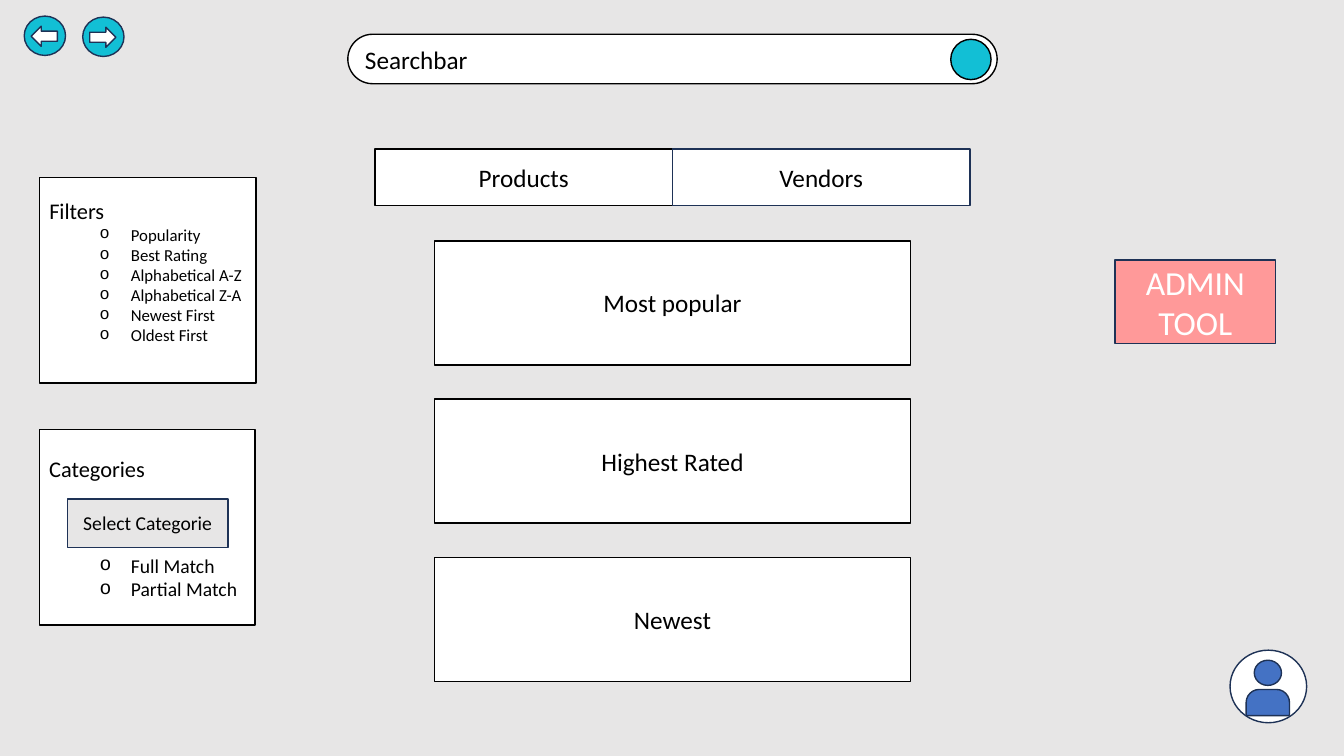
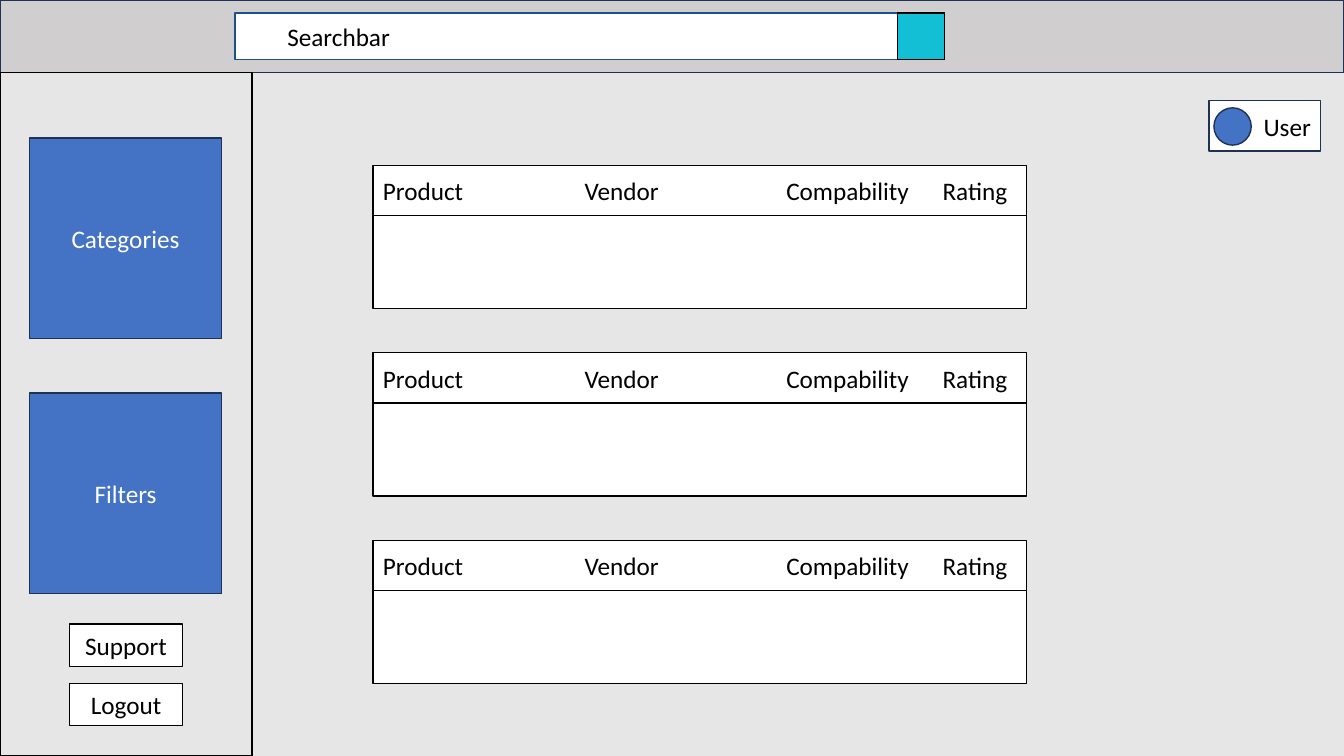
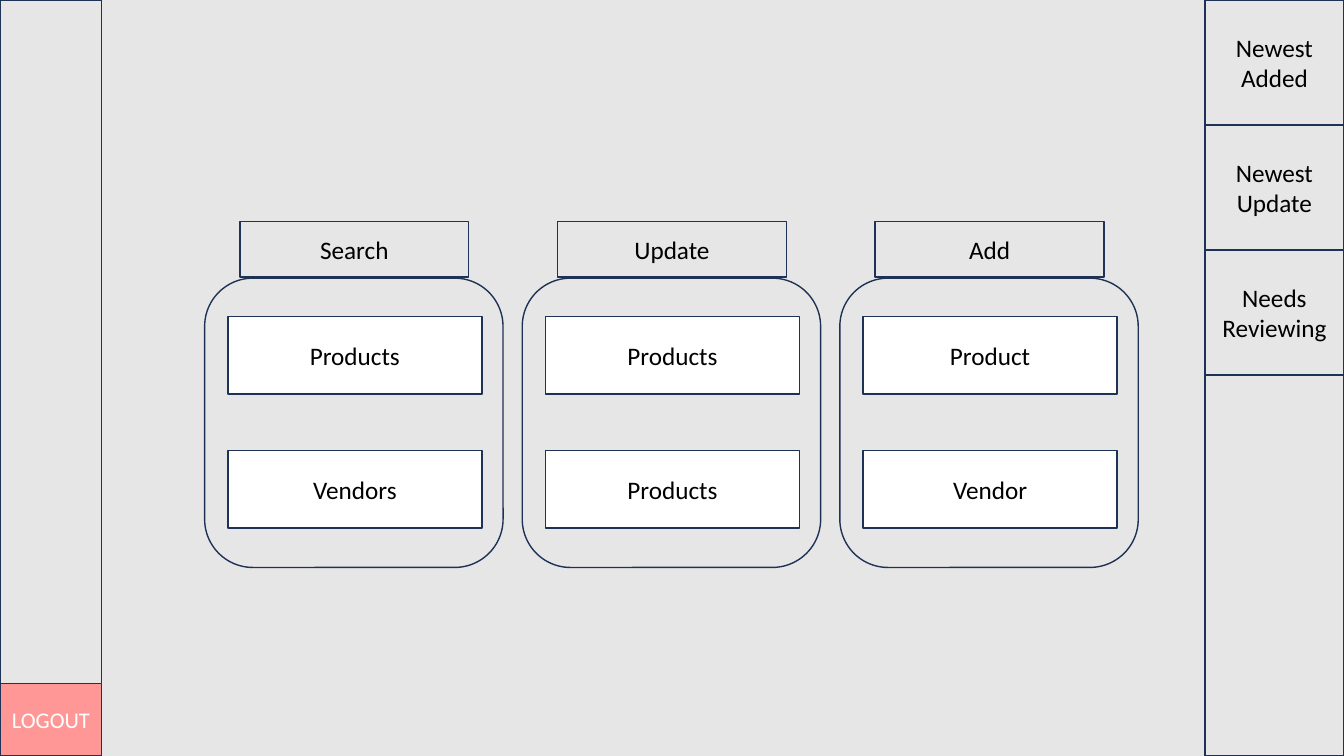
import pptx
import pptx.dml.color
import pptx.enum.shapes
import pptx.enum.text
import pptx.oxml.ns
import pptx.util
from lxml import etree

SHAPE = pptx.enum.shapes.MSO_SHAPE
ALIGN = pptx.enum.text.PP_ALIGN
ANCHOR = pptx.enum.text.MSO_ANCHOR
Inches = pptx.util.Inches
Pt = pptx.util.Pt

FONT = "Calibri"
BLACK = "000000"
WHITE = "FFFFFF"
NAVY = "1E3256"
BLUE = "4472C4"
CYAN = "12BFD5"
CANVAS = "E7E6E6"


def color(hex_value):
    return pptx.dml.color.RGBColor.from_string(hex_value)


def style_paragraph(paragraph, size, text_color, align=ALIGN.LEFT):
    paragraph.alignment = align
    for run in paragraph.runs:
        run.font.name = FONT
        run.font.size = Pt(size)
        run.font.color.rgb = color(text_color)


def draw(slide, box, fill=WHITE, line=NAVY, kind=SHAPE.RECTANGLE, text="",
         size=18, text_color=BLACK, align=ALIGN.CENTER, adjustments=()):
    shape = slide.shapes.add_shape(kind, *map(Inches, box))
    shape.shadow.inherit = False
    shape.fill.solid()
    shape.fill.fore_color.rgb = color(fill)
    shape.line.color.rgb = color(line)
    shape.line.width = Pt(1)
    for index, value in enumerate(adjustments):
        shape.adjustments[index] = value
    if text:
        frame = shape.text_frame
        frame.text = text
        frame.word_wrap = True
        frame.vertical_anchor = ANCHOR.MIDDLE
        for paragraph in frame.paragraphs:
            style_paragraph(paragraph, size, text_color, align)
    return shape


def add_bullet(paragraph):
    properties = paragraph._p.get_or_add_pPr()
    properties.set("marL", str(Inches(0.81)))
    properties.set("indent", str(Inches(-0.31)))
    font = etree.SubElement(properties, pptx.oxml.ns.qn("a:buFont"))
    font.set("typeface", "Courier New")
    bullet = etree.SubElement(properties, pptx.oxml.ns.qn("a:buChar"))
    bullet.set("char", "o")


def add_tab_stops(paragraph, positions):
    properties = paragraph._p.get_or_add_pPr()
    tabs = etree.SubElement(properties, pptx.oxml.ns.qn("a:tabLst"))
    for position in positions:
        tab = etree.SubElement(tabs, pptx.oxml.ns.qn("a:tab"))
        tab.set("pos", str(Inches(position)))
        tab.set("algn", "l")


def navigation_button(slide, left, top, arrow):
    draw(slide, (left, top, 0.41, 0.39), CYAN, kind=SHAPE.OVAL)
    draw(slide, (left + 0.07, top + 0.1, 0.26, 0.2), kind=arrow)


def rounded_search(slide, left, top, width, height):
    draw(slide, (left, top, width, height), line=BLACK,
         kind=SHAPE.ROUNDED_RECTANGLE, text="Searchbar",
         align=ALIGN.LEFT, adjustments=[0.5])
    draw(slide, (left + width - 0.46, top + 0.05, 0.4, 0.4), CYAN, BLACK, SHAPE.OVAL)


def option_panel(slide, box, title, options, size, top_inset, gap=0):
    panel = draw(slide, box, line=BLACK, text="\n".join([title, *options]),
                 size=size, align=ALIGN.LEFT)
    frame = panel.text_frame
    frame.vertical_anchor = ANCHOR.TOP
    frame.margin_top = Inches(top_inset)
    heading, *choices = frame.paragraphs
    style_paragraph(heading, 16, BLACK)
    choices[0].space_before = Pt(gap)
    for choice in choices:
        add_bullet(choice)


def user_icon(slide, left, top):
    draw(slide, (left, top, 0.76, 0.72), kind=SHAPE.OVAL)
    draw(slide, (left + 0.24, top + 0.1, 0.27, 0.25), BLUE, kind=SHAPE.OVAL)
    draw(slide, (left + 0.16, top + 0.39, 0.43, 0.26), BLUE,
         kind=SHAPE.ROUND_2_SAME_RECTANGLE, adjustments=[0.5, 0.04])


def start_slide(slide):
    navigation_button(slide, 0.24, 0.16, SHAPE.LEFT_ARROW)
    navigation_button(slide, 0.82, 0.17, SHAPE.RIGHT_ARROW)
    rounded_search(slide, 3.45, 0.34, 6.44, 0.49)
    for index, (label, line) in enumerate([("Products", BLACK), ("Vendors", NAVY)]):
        draw(slide, (3.72 + 2.95 * index, 1.48, 2.95, 0.56), line=line, text=label)
    for index, label in enumerate(["Most popular", "Highest Rated", "Newest"]):
        draw(slide, (4.31, 2.39 + 1.57 * index, 4.72, 1.23), line=BLACK, text=label)
    option_panel(slide, (0.39, 1.76, 2.15, 2.04), "Filters",
                 ["Popularity", "Best Rating", "Alphabetical A-Z",
                  "Alphabetical Z-A", "Newest First", "Oldest First"], 12, 0.2)
    option_panel(slide, (0.39, 4.26, 2.14, 1.94), "Categories",
                 ["Full Match", "Partial Match"], 14, 0.26, 51)
    draw(slide, (0.67, 4.95, 1.59, 0.48), CANVAS, text="Select Categorie", size=14)
    draw(slide, (11.06, 2.58, 1.59, 0.83), "FF9999", text="ADMIN TOOL",
         size=24, text_color=WHITE)
    user_icon(slide, 12.2, 6.45)


def search_header(slide, left, top, width, height):
    draw(slide, (left, top, width, height), "D0CECE")
    field = draw(slide, (left + 2.33, top + 0.13, 7.04, 0.46), line="1C5091",
                 text="Searchbar", align=ALIGN.LEFT)
    field.text_frame.margin_left = Inches(0.52)
    draw(slide, (left + 8.9, top + 0.13, 0.47, 0.46), CYAN, BLACK)


def sidebar(slide, left, top, width, height):
    draw(slide, (left, top, width, height), CANVAS, BLACK)
    for index, label in enumerate(["Categories", "Filters"]):
        draw(slide, (left + 0.29, top + 0.65 + 2.53 * index, 1.91, 1.99), BLUE,
             text=label, text_color=WHITE)
    for index, label in enumerate(["Support", "Logout"]):
        draw(slide, (left + 0.69, top + 5.47 + 0.59 * index, 1.12, 0.42),
             line=BLACK, text=label)


def user_badge(slide, left, top):
    draw(slide, (left, top, 1.11, 0.5), text="User", align=ALIGN.RIGHT)
    draw(slide, (left + 0.05, top + 0.07, 0.37, 0.37), BLUE, kind=SHAPE.OVAL)


def result_card(slide, left, top, width):
    draw(slide, (left, top + 0.5, width, 0.92), line=BLACK)
    header = draw(slide, (left, top, width, 0.5), line=BLACK,
                  text="Product\tVendor\tCompability\tRating", align=ALIGN.LEFT)
    add_tab_stops(header.text_frame.paragraphs[0], [2, 4, 5.55])


def results_slide(slide):
    search_header(slide, 0, 0, 13.33, 0.72)
    sidebar(slide, 0, 0.72, 2.5, 6.78)
    user_badge(slide, 11.99, 1)
    for index in range(3):
        result_card(slide, 3.7, 1.64 + 1.86 * index, 6.48)


def action_column(slide, left, top, title, targets):
    draw(slide, (left, top + 0.56, 2.96, 2.87), CANVAS, kind=SHAPE.ROUNDED_RECTANGLE)
    draw(slide, (left + 0.35, top, 2.27, 0.55), CANVAS, text=title)
    for index, target in enumerate(targets):
        draw(slide, (left + 0.23, top + 0.94 + 1.33 * index, 2.52, 0.77), text=target)


def logout_rail(slide, left, top, width, height):
    draw(slide, (left, top, width, height), CANVAS)
    draw(slide, (left, top + height - 0.72, width, 0.72), "FF9797",
         text="LOGOUT", size=16, text_color=WHITE)


def review_rail(slide, left, top, width, height):
    draw(slide, (left, top, width, height), CANVAS)
    for index, label in enumerate(["Newest\nAdded", "Newest\nUpdate", "Needs\nReviewing"]):
        draw(slide, (left, top + 1.24 * index, width, 1.24), CANVAS, text=label)


def admin_slide(slide):
    actions = [("Search", ["Products", "Vendors"]),
               ("Update", ["Products", "Products"]),
               ("Add", ["Product", "Vendor"])]
    for index, (title, targets) in enumerate(actions):
        action_column(slide, 2.03 + 3.15 * index, 2.2, title, targets)
    logout_rail(slide, 0, 0, 1.01, 7.5)
    review_rail(slide, 11.95, 0, 1.38, 7.5)


presentation = pptx.Presentation()
presentation.slide_width = Inches(13.33)
presentation.slide_height = Inches(7.5)
background = presentation.slide_master.background.fill
background.solid()
background.fore_color.rgb = color(CANVAS)
for build_slide in (start_slide, results_slide, admin_slide):
    build_slide(presentation.slides.add_slide(presentation.slide_layouts[6]))
presentation.save("out.pptx")
